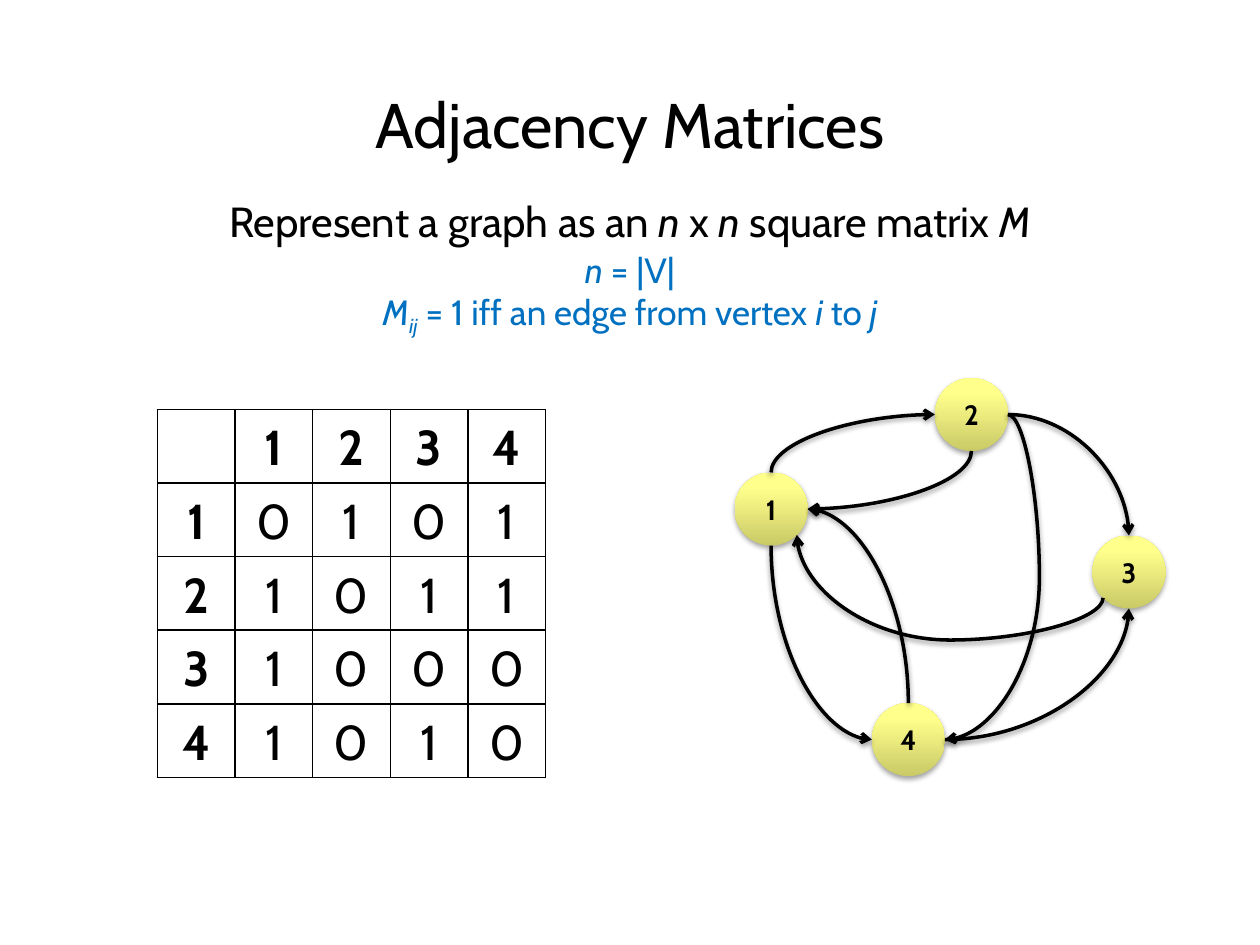
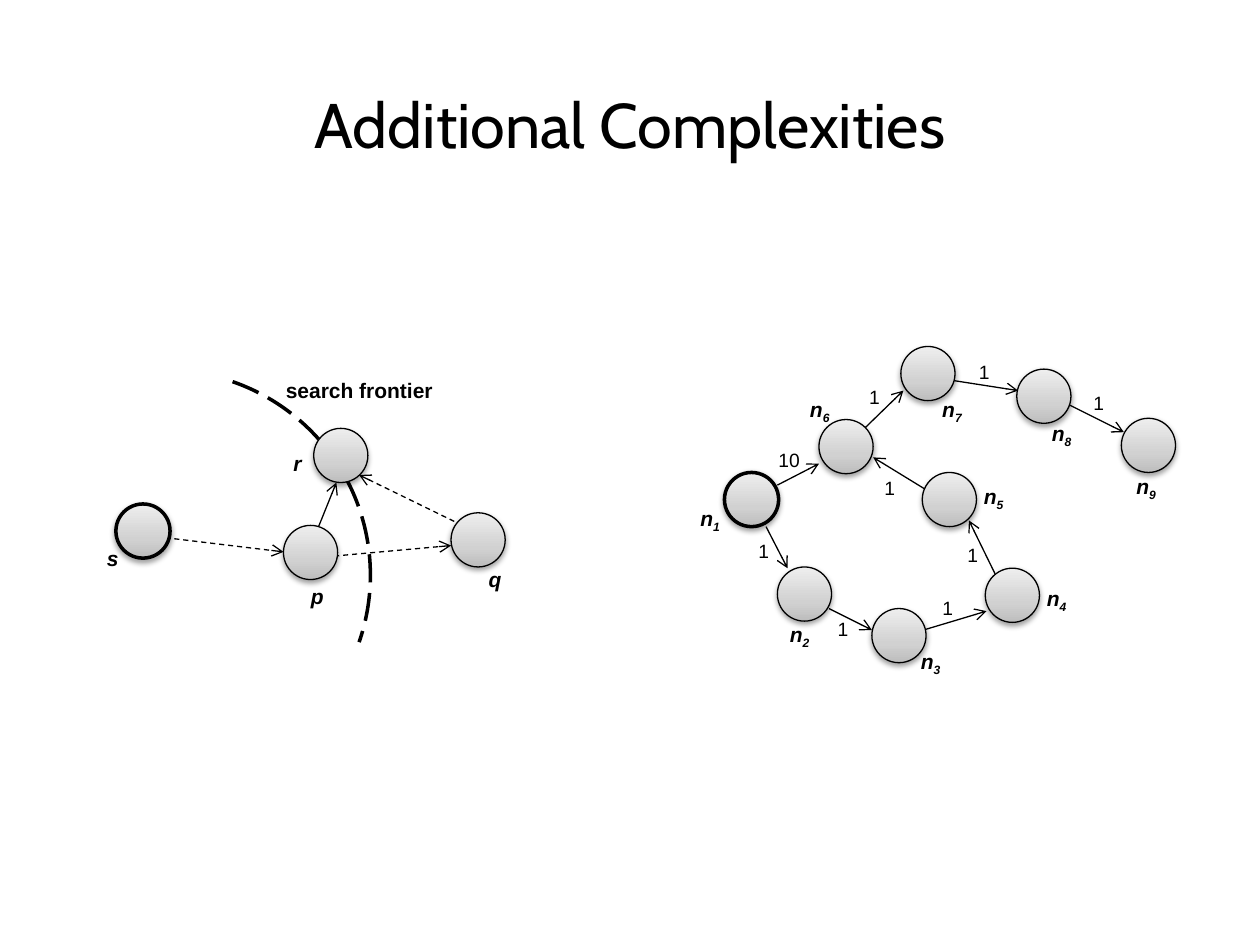
import math
from dataclasses import dataclass

from lxml import etree
from pptx import Presentation
from pptx.dml.color import RGBColor
from pptx.enum import dml, shapes, text
from pptx.oxml.ns import qn
from pptx.util import Inches, Pt


@dataclass(frozen=True)
class Theme:
    ink: str = "000000"
    paper: str = "FFFFFF"
    accent: str = "0070C0"
    yellow: tuple = ((0, "CACA67"), (80, "FFFF8C"), (100, "FFFF8E"))
    grey: tuple = ((0, "BDBDBD"), (35, "D1D1D1"), (100, "EEEEEE"))
    head_font: str = "Cabin"
    label_font: str = "Arial"
    title: int = 36
    table: int = 28
    lead: int = 24
    detail: int = 20
    vertex: int = 16
    label: int = 12
    weight: int = 11
    thin: float = 0.75
    grid: float = 1
    thick: float = 2


def add_xml(parent, tag, **attributes):
    child = etree.SubElement(parent, qn(tag))
    for name, value in attributes.items():
        child.set(name, str(value))
    return child


def add_colour(parent, colour):
    return add_xml(parent, "a:srgbClr", val=colour)


def set_effects(shape, shadow):
    """Replace the theme effects by a soft lower shadow, or by none."""
    properties = shape._element.spPr
    effects = properties.find(qn("a:effectLst"))
    if effects is None:
        effects = add_xml(properties, "a:effectLst")
    if shadow:
        outer = add_xml(effects, "a:outerShdw", blurRad=Pt(3.1), dist=Pt(1.6),
                        dir=90 * 60000, rotWithShape=0)
        add_xml(add_colour(outer, Theme.ink), "a:alpha", val=36000)


def site_point(centre, radius, site):
    """Connection site of a circle: 0 is the top, then counter-clockwise by 45 degrees."""
    angle = math.radians(45 * site)
    return centre[0] - radius * math.sin(angle), centre[1] - radius * math.cos(angle)


class Deck:
    def __init__(self, theme):
        self.theme = theme
        self.presentation = Presentation()
        self.presentation.slide_width = Inches(10)
        self.presentation.slide_height = Inches(7.5)
        self.slide = None

    def add_slide(self, title):
        self.slide = self.presentation.slides.add_slide(self.presentation.slide_layouts[5])
        shape = self.slide.shapes.title
        shape.left, shape.top, shape.width, shape.height = map(Inches, (0, 0.6, 10, 0.75))
        shape.text_frame.text = title
        shape.text_frame.vertical_anchor = text.MSO_ANCHOR.MIDDLE
        paragraph = shape.text_frame.paragraphs[0]
        paragraph.alignment = text.PP_ALIGN.CENTER
        self.format_run(paragraph.runs[0], self.theme.title, self.theme.head_font)

    def format_run(self, run, size, font, style="", colour=None):
        """Style letters: b bold, i italic, _ subscript."""
        run.font.size, run.font.name = Pt(size), font
        run.font.bold, run.font.italic = "b" in style, "i" in style
        run.font.color.rgb = RGBColor.from_string(colour or self.theme.ink)
        if "_" in style:
            run._r.get_or_add_rPr().set("baseline", "-25000")

    def text_box(self, box, paragraphs, size, font, colour=None, centred=False):
        """Each paragraph is a list of (text, style) runs."""
        frame = self.slide.shapes.add_textbox(*map(Inches, box)).text_frame
        frame.word_wrap = centred
        frame.auto_size = text.MSO_AUTO_SIZE.SHAPE_TO_FIT_TEXT
        for index, runs in enumerate(paragraphs):
            paragraph = frame.add_paragraph() if index else frame.paragraphs[0]
            paragraph.alignment = text.PP_ALIGN.CENTER if centred else text.PP_ALIGN.LEFT
            for content, style in runs:
                run = paragraph.add_run()
                run.text = content
                self.format_run(run, size, font, style, colour)

    def label(self, left, top, runs, width=0.3):
        self.text_box((left, top, width, 0.3), [runs], self.theme.label, self.theme.label_font)

    def circle(self, left, top, size, stops, line=None, caption=""):
        shape = self.slide.shapes.add_shape(
            shapes.MSO_SHAPE.OVAL, *map(Inches, (left, top, size, size)))
        shape.fill.gradient()
        shape.fill.gradient_angle = 90
        stop_list = shape._element.spPr.find(".//" + qn("a:gsLst"))
        for stop in list(stop_list):
            stop_list.remove(stop)
        for position, colour in stops:
            add_colour(add_xml(stop_list, "a:gs", pos=position * 1000), colour)
        self.format_line(shape.line, line)
        shape.shadow.inherit = False
        set_effects(shape, shadow=True)
        if caption:
            frame = shape.text_frame
            frame.margin_left = frame.margin_right = 0
            frame.text = caption
            frame.vertical_anchor = text.MSO_ANCHOR.MIDDLE
            paragraph = frame.paragraphs[0]
            paragraph.alignment = text.PP_ALIGN.CENTER
            self.format_run(paragraph.runs[0], self.theme.vertex, self.theme.head_font, "b")
        return shape

    def format_line(self, line, width, dash=None):
        if width is None:
            line.fill.background()
            return
        line.width = Pt(width)
        line.color.rgb = RGBColor.from_string(self.theme.ink)
        if dash:
            line.dash_style = dash

    def finish_arrow(self, connector, width, dash=None, shadow=False):
        self.format_line(connector.line, width, dash)
        add_xml(connector._element.spPr.find(qn("a:ln")), "a:tailEnd", type="arrow")
        set_effects(connector, shadow)

    def arrow(self, start, end, dash=None):
        connector = self.slide.shapes.add_connector(
            shapes.MSO_CONNECTOR.STRAIGHT, *map(Inches, (*start, *end)))
        self.finish_arrow(connector, self.theme.thin, dash)

    def curve(self, start, end, start_node, start_site, end_node, end_site, bend=None):
        """Curved arrow between circle sites; bend moves the middle of an S or C curve."""
        connector = self.slide.shapes.add_connector(
            shapes.MSO_CONNECTOR.CURVE, *map(Inches, (*start, *end)))
        connector.begin_connect(start_node, 0)
        connector.end_connect(end_node, 0)
        element = connector._element
        element.find(".//" + qn("a:stCxn")).set("idx", str(start_site))
        element.find(".//" + qn("a:endCxn")).set("idx", str(end_site))

        across, down = end[0] - start[0], end[1] - start[1]
        vertical = start_site not in (2, 6)
        along, aside = (down, -across) if vertical else (across, down)
        width, height = abs(along), abs(aside)
        connector.left = Inches((start[0] + end[0] - width) / 2)
        connector.top = Inches((start[1] + end[1] - height) / 2)
        connector.width, connector.height = Inches(width), Inches(height)
        transform = element.spPr.find(qn("a:xfrm"))
        transform.set("rot", str(90 * 60000 if vertical else 0))
        transform.set("flipH", str(int(along < 0)))
        transform.set("flipV", str(int(aside < 0)))

        geometry = element.spPr.find(qn("a:prstGeom"))
        geometry.set("prst", "curvedConnector2" if bend is None else "curvedConnector3")
        if bend is not None:
            guides = geometry.find(qn("a:avLst"))
            if guides is None:
                guides = add_xml(geometry, "a:avLst")
            add_xml(guides, "a:gd", name="adj1", fmla=f"val {round(bend * 100000)}")
        self.finish_arrow(connector, self.theme.thick, shadow=True)

    def arc(self, left, top, size, rotation):
        shape = self.slide.shapes.add_shape(
            shapes.MSO_SHAPE.ARC, *map(Inches, (left, top, size, size)))
        shape.rotation = rotation
        shape.fill.background()
        self.format_line(shape.line, self.theme.thick, dml.MSO_LINE.LONG_DASH)
        shape.shadow.inherit = False

    def matrix(self, box, rows):
        """Table with bold row and column headings."""
        table = self.slide.shapes.add_table(
            len(rows), len(rows[0]), *map(Inches, box)).table
        table.first_row = table.horz_banding = False
        for row_index, row in enumerate(rows):
            for column_index, value in enumerate(row):
                cell = table.cell(row_index, column_index)
                cell.fill.solid()
                cell.fill.fore_color.rgb = RGBColor.from_string(self.theme.paper)
                cell.vertical_anchor = text.MSO_ANCHOR.MIDDLE
                cell.margin_top = Inches(0.16)
                self.border(cell)
                if value:
                    cell.text_frame.text = value
                    paragraph = cell.text_frame.paragraphs[0]
                    paragraph.alignment = text.PP_ALIGN.CENTER
                    paragraph.line_spacing = 0.71
                    heading = row_index == 0 or column_index == 0
                    self.format_run(paragraph.runs[0], self.theme.table,
                                    self.theme.head_font, "b" if heading else "")

    def border(self, cell):
        properties = cell._tc.get_or_add_tcPr()
        for index, side in enumerate(("a:lnL", "a:lnR", "a:lnT", "a:lnB")):
            line = add_xml(properties, side, w=Pt(self.theme.grid))
            add_colour(add_xml(line, "a:solidFill"), self.theme.ink)
            properties.insert(index, line)


def adjacency_slide(deck):
    theme = deck.theme
    deck.add_slide("Adjacency Matrices")
    deck.text_box((0, 1.5, 10, 0.5), [
        [("Represent a graph as an ", ""), ("n", "i"), (" x ", ""), ("n", "i"),
         (" square matrix ", ""), ("M", "i")],
    ], theme.lead, theme.head_font, centred=True)
    deck.text_box((0, 1.92, 10, 0.77), [
        [("n", "i"), (" = |V|", "")],
        [("M", "i"), ("ij", "i_"), (" = 1 iff an edge from vertex ", ""), ("i", "i"),
         (" to ", ""), ("j", "i")],
    ], theme.detail, theme.head_font, theme.accent, centred=True)
    deck.matrix((1.25, 3.25, 3.08, 2.92), [" 1234".replace(" ", "-")] and [
        ["", "1", "2", "3", "4"],
        ["1", "0", "1", "0", "1"],
        ["2", "1", "0", "1", "1"],
        ["3", "1", "0", "0", "0"],
        ["4", "1", "0", "1", "0"],
    ])

    size = 0.58
    corners = {1: (5.83, 3.75), 2: (7.42, 3), 3: (8.67, 4.25), 4: (6.92, 5.58)}
    centres = {key: (x + size / 2, y + size / 2) for key, (x, y) in corners.items()}
    vertices = {key: deck.circle(*corner, size, theme.yellow, caption=str(key))
                for key, corner in corners.items()}
    edges = [
        (1, 0, 2, 2, None), (1, 4, 4, 2, None), (2, 4, 1, 6, None), (2, 6, 3, 0, None),
        (2, 6, 4, 6, -0.5), (3, 3, 1, 5, -0.67), (4, 0, 1, 6, None), (4, 6, 3, 4, None),
    ]
    for source, source_site, target, target_site, bend in edges:
        deck.curve(site_point(centres[source], size / 2, source_site),
                   site_point(centres[target], size / 2, target_site),
                   vertices[source], source_site, vertices[target], target_site, bend)


def complexities_slide(deck):
    theme = deck.theme
    size = 0.43
    deck.add_slide("Additional Complexities")

    deck.arc(-0.31, 2.94, 3.25, 19.1)
    for start, end in [((1.17, 4.25), (2.25, 4.38)), ((2.58, 4.42), (3.58, 4.33)),
                       ((3.67, 4.17), (2.85, 3.77))]:
        deck.arrow(start, end, dml.MSO_LINE.DASH)
    deck.arrow((2.5, 4.25), (2.67, 3.83))
    frontier_nodes = [
        ("s", (0.92, 4), (0.75, 4.28)), ("r", (2.49, 3.4), (2.23, 3.53)),
        ("p", (2.25, 4.17), (2.37, 4.58)), ("q", (3.58, 4.07), (3.78, 4.45)),
    ]
    for name, corner, label_corner in frontier_nodes:
        deck.circle(*corner, size, theme.grey, theme.thick if name == "s" else theme.thin)
        deck.label(*label_corner, [(name, "bi")])
    deck.label(2.17, 2.95, [("search frontier", "b")], 1.38)

    weighted_edges = [
        ((6.17, 3.85), (6.5, 3.68), "10", (6.08, 3.51)),
        ((6.08, 4.18), (6.25, 4.51), "1", (5.92, 4.23)),
        ((6.58, 4.83), (6.92, 5), "1", (6.55, 4.85)),
        ((7.33, 5), (7.83, 4.85), "1", (7.38, 4.68)),
        ((7.92, 4.6), (7.69, 4.13), "1", (7.58, 4.26)),
        ((7.42, 3.93), (6.93, 3.63), "1", (6.92, 3.73)),
        ((6.83, 3.43), (7.17, 3.1), "1", (6.8, 3.01)),
        ((7.5, 3.01), (8.08, 3.1), "1", (7.67, 2.81)),
        ((8.42, 3.18), (8.92, 3.43), "1", (8.58, 3.06)),
    ]
    path_nodes = [
        ((5.75, 3.75), (5.46, 3.96)), ((6.17, 4.5), (6.17, 4.88)),
        ((6.92, 4.83), (7.21, 5.1)), ((7.82, 4.51), (8.21, 4.6)),
        ((7.32, 3.75), (7.71, 3.79)), ((6.5, 3.33), (6.33, 3.1)),
        ((7.15, 2.75), (7.38, 3.1)), ((8.07, 2.93), (8.25, 3.29)),
        ((8.9, 3.32), (8.92, 3.71)),
    ]
    for start, end, _, _ in weighted_edges:
        deck.arrow(start, end)
    for number, (corner, label_corner) in enumerate(path_nodes, 1):
        deck.circle(*corner, size, theme.grey, theme.thick if number == 1 else theme.thin)
        deck.label(*label_corner, [("n", "bi"), (str(number), "bi_")], 0.37)
    for _, _, weight, corner in weighted_edges:
        width = 0.21 + 0.08 * len(weight)
        deck.text_box((*corner, width, 0.29), [[(weight, "")]], theme.weight, theme.label_font)


def main():
    deck = Deck(Theme())
    adjacency_slide(deck)
    complexities_slide(deck)
    deck.presentation.save("out.pptx")


if __name__ == "__main__":
    main()
